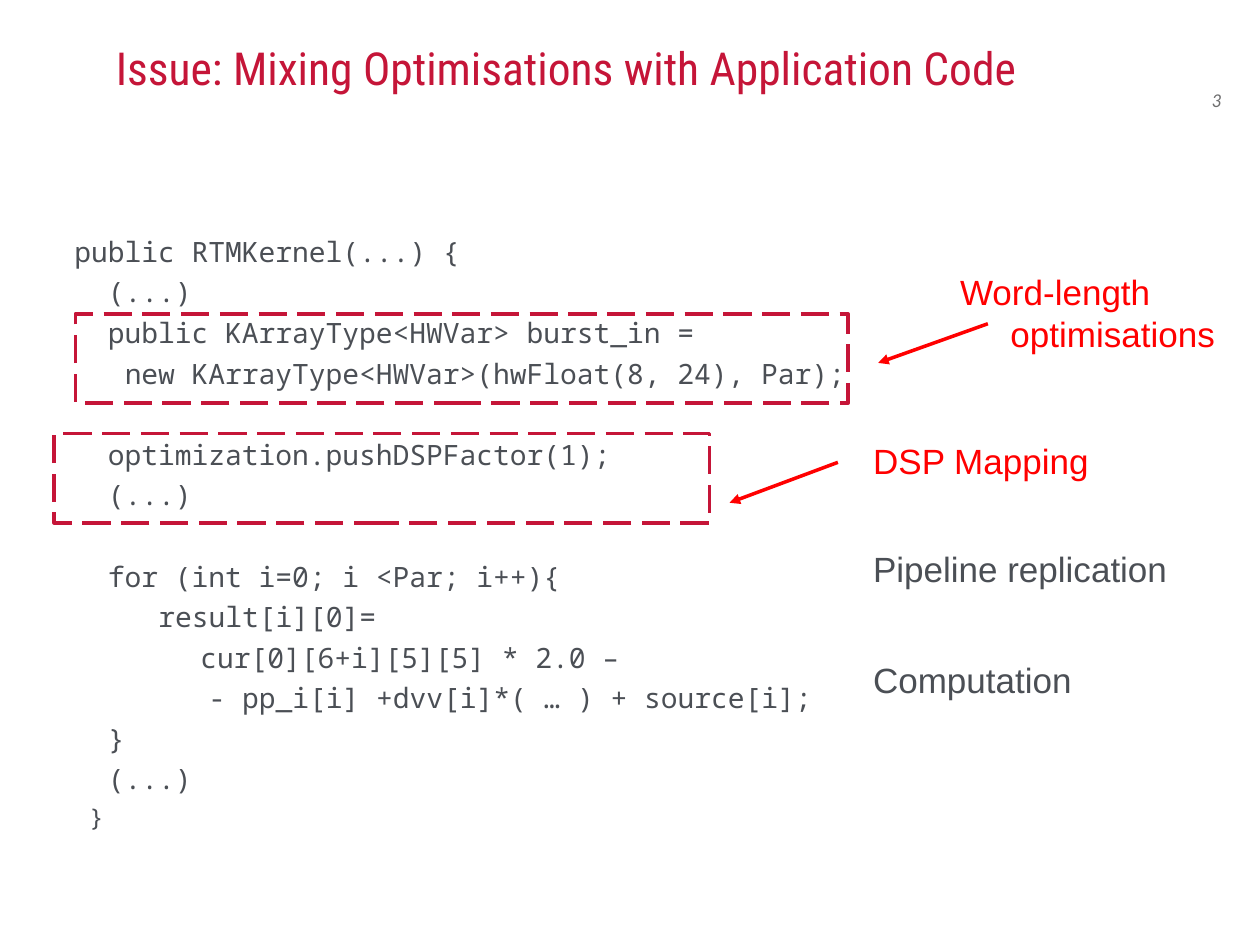
from typing import NamedTuple

from pptx import Presentation
from pptx.dml.color import RGBColor
from pptx.enum.dml import MSO_LINE_DASH_STYLE as Dash
from pptx.enum.shapes import MSO_CONNECTOR as Connector, MSO_SHAPE as Shape
from pptx.enum.text import MSO_ANCHOR as Anchor, MSO_AUTO_SIZE as AutoSize, PP_ALIGN as Align
from pptx.oxml.ns import qn
from pptx.util import Pt

CRIMSON = RGBColor(0xC5, 0x15, 0x38)
RED = RGBColor(0xFF, 0x00, 0x00)
SLATE = RGBColor(0x4B, 0x4F, 0x55)
GREY = RGBColor(0x6E, 0x6E, 0x6F)

CODE_SIZE = 16
CHARACTER_WIDTH = 0.6  # of the font size, in the monospaced font
CODE_GAP = 4
LINE_SKIP = 27.2  # space before a line that follows an empty row


class Box(NamedTuple):
    left: float
    top: float
    width: float
    height: float


class CodeLine(NamedTuple):
    text: str
    indent: float = 0  # in characters
    before: float = CODE_GAP
    size: float = CODE_SIZE


class Label(NamedTuple):
    text: str
    box: Box
    color: RGBColor


class Arrow(NamedTuple):
    start_x: float
    start_y: float
    end_x: float
    end_y: float


CODE = [
    CodeLine("public RTMKernel(...) {"),
    CodeLine("(...)", 2),
    CodeLine("public KArrayType<HWVar> burst_in =", 2),
    CodeLine("new KArrayType<HWVar>(hwFloat(8, 24), Par);", 3),
    CodeLine("optimization.pushDSPFactor(1);", 2, LINE_SKIP),
    CodeLine("(...)", 2),
    CodeLine("for (int i=0; i <Par; i++){", 2, LINE_SKIP),
    CodeLine("result[i][0]=", 5),
    CodeLine("cur[0][6+i][5][5] * 2.0 –", 7.5),
    CodeLine("- pp_i[i] +dvv[i]*( … ) + source[i];", 8),
    CodeLine("}", 2),
    CodeLine("(...)", 2),
    CodeLine("}", 1, 3.5, 14),
]
LABELS = [
    Label("Word-length optimisations", Box(541.5, 151.2, 178.5, 55.4), RED),
    Label("DSP Mapping", Box(491.8, 247.7, 147.6, 31.7), RED),
    Label("Pipeline replication", Box(491.8, 309.6, 187.2, 31.7), SLATE),
    Label("Computation", Box(491.8, 373, 187.2, 31.7), SLATE),
]
HIGHLIGHTS = [Box(31, 247.7, 374.4, 51.1), Box(43.2, 179.3, 441.4, 51.1)]
ARROWS = [Arrow(478.8, 264.2, 416.9, 287.3), Arrow(564.5, 185, 501.8, 207.4)]


def place(shape, box: Box) -> None:
    shape.left, shape.top, shape.width, shape.height = map(Pt, box)


def prepare_frame(shape, anchor=Anchor.TOP):
    """Remove the margins and automatic fitting of a placeholder."""
    frame = shape.text_frame
    frame.margin_left = frame.margin_right = frame.margin_top = frame.margin_bottom = 0
    frame.auto_size = AutoSize.NONE
    frame.vertical_anchor = anchor
    frame.word_wrap = True
    return frame


def add_run(paragraph, text: str, font_name: str, size: float, color: RGBColor):
    run = paragraph.add_run()
    run.text = text
    run.font.name = font_name
    run.font.size = Pt(size)
    run.font.color.rgb = color
    return run


def set_indent(paragraph, margin: float, first_line: float = 0) -> None:
    properties = paragraph._p.get_or_add_pPr()
    properties.set("marL", str(Pt(margin)))
    properties.set("indent", str(Pt(first_line)))


def add_text_box(slide, box: Box):
    text_box = slide.shapes.add_textbox(*map(Pt, box))
    text_box.text_frame.word_wrap = True
    return text_box.text_frame.paragraphs[0]


def fill_title(title) -> None:
    place(title, Box(66.2, 3.6, 594, 50.4))
    paragraph = prepare_frame(title, Anchor.BOTTOM).paragraphs[0]
    paragraph.alignment = Align.LEFT
    add_run(paragraph, "Issue: Mixing Optimisations with Application Code",
            "Roboto Condensed", 26, CRIMSON)


def fill_code(body, lines: list[CodeLine]) -> None:
    place(body, Box(42.5, 133.9, 449.3, 362.9))
    frame = prepare_frame(body)
    for index, line in enumerate(lines):
        paragraph = frame.add_paragraph() if index else frame.paragraphs[0]
        set_indent(paragraph, line.indent * CHARACTER_WIDTH * line.size)
        paragraph.space_before = Pt(line.before)
        add_run(paragraph, line.text, "Noto Sans Mono", line.size, SLATE)
        properties = paragraph._p.get_or_add_pPr()
        properties.append(properties.makeelement(qn("a:buNone"), {}))


def add_label(slide, label: Label) -> None:
    paragraph = add_text_box(slide, label.box)
    set_indent(paragraph, 28.8, -28.8)
    add_run(paragraph, label.text, "Arial", 20, label.color)


def add_highlight(slide, box: Box) -> None:
    rectangle = slide.shapes.add_shape(Shape.RECTANGLE, *map(Pt, box))
    rectangle.shadow.inherit = False
    rectangle.fill.background()
    rectangle.line.color.rgb = CRIMSON
    rectangle.line.width = Pt(2)
    rectangle.line.dash_style = Dash.LONG_DASH


def add_arrow(slide, arrow: Arrow) -> None:
    connector = slide.shapes.add_connector(Connector.STRAIGHT, *map(Pt, arrow))
    connector.line.color.rgb = RED
    connector.line.width = Pt(2)
    line = connector.line._get_or_add_ln()
    line.append(line.makeelement(qn("a:tailEnd"), {"type": "triangle"}))
    properties = connector._element.spPr
    properties.append(properties.makeelement(qn("a:effectLst"), {}))


def main() -> None:
    presentation = Presentation()
    presentation.slide_width, presentation.slide_height = Pt(720), Pt(540)
    slide = presentation.slides.add_slide(presentation.slide_layouts[1])

    fill_title(slide.shapes.title)
    fill_code(slide.placeholders[1], CODE)
    number = add_text_box(slide, Box(685.4, 48.2, 34.6, 28.8))
    add_run(number, "3", "Lato", 10, GREY).font.italic = True

    for label in LABELS:
        add_label(slide, label)
    for highlight, arrow in zip(HIGHLIGHTS, ARROWS):
        add_highlight(slide, highlight)
        add_arrow(slide, arrow)

    presentation.save("out.pptx")


if __name__ == "__main__":
    main()
